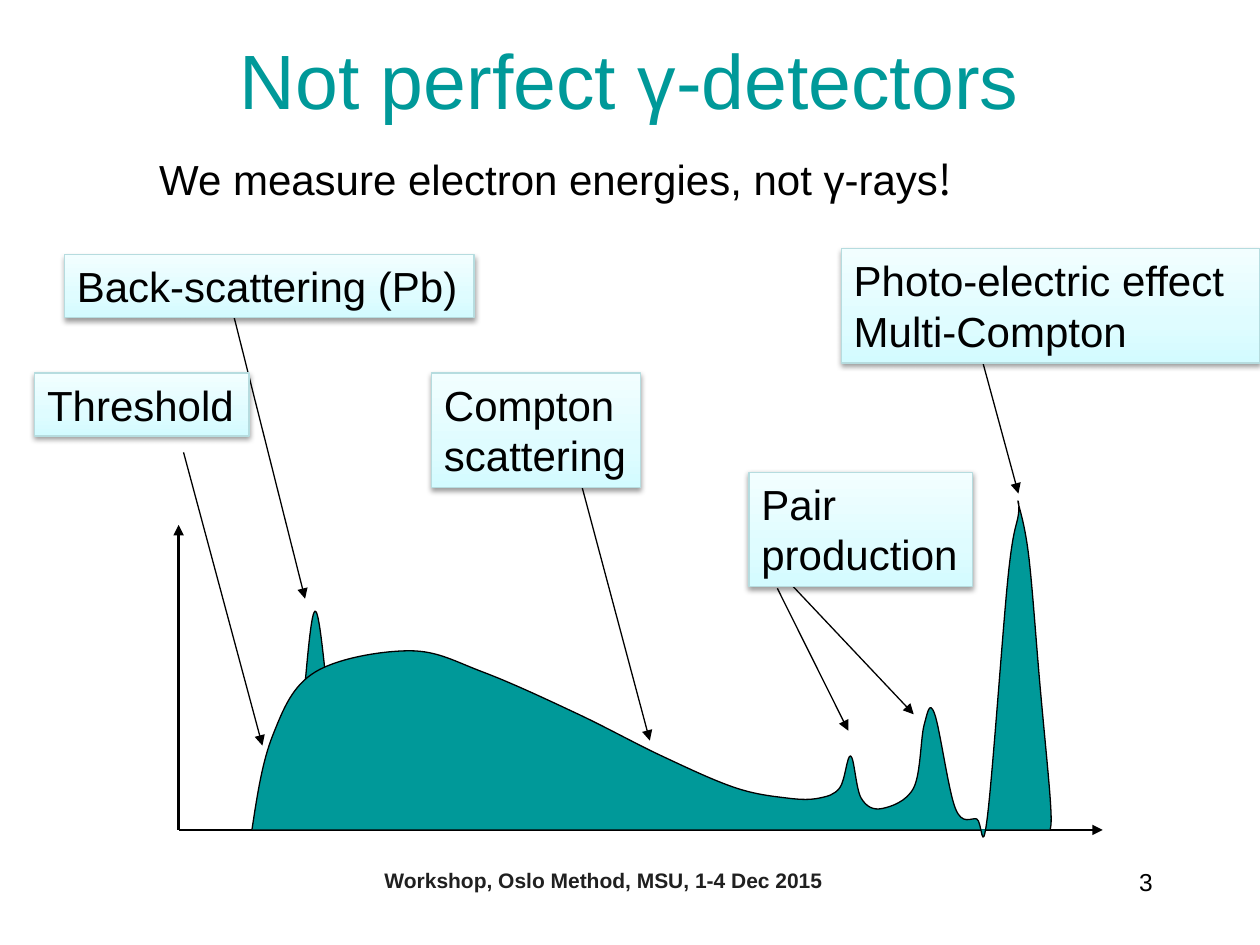
from copy import deepcopy

from lxml.etree import SubElement
from pptx import Presentation
from pptx.dml.color import RGBColor
from pptx.enum.shapes import MSO_CONNECTOR, MSO_SHAPE
from pptx.enum.text import MSO_ANCHOR, MSO_AUTO_SIZE, PP_ALIGN
from pptx.oxml.ns import qn
from pptx.util import Cm, Pt


def colour(value):
    return RGBColor.from_string(value)


def write(frame, lines, align, size, ink, frame_format):
    for name, value in frame_format.items():
        setattr(frame, name, value)
    for index, line in enumerate(lines):
        paragraph = frame.paragraphs[0] if index == 0 else frame.add_paragraph()
        paragraph.alignment = align
        run = paragraph.add_run()
        run.text = line
        for name, value in {"name": "Arial", "size": Pt(size)}.items():
            setattr(run.font, name, value)
        run.font.color.rgb = colour(ink)
    return run


presentation = Presentation()
for name, value in {"slide_width": Cm(25.4), "slide_height": Cm(19.05)}.items():
    setattr(presentation, name, value)
slide = presentation.slides.add_slide(presentation.slide_layouts[6])
shapes = slide.shapes

fixed = {"word_wrap": True, "vertical_anchor": MSO_ANCHOR.TOP}
middle = {"word_wrap": True, "vertical_anchor": MSO_ANCHOR.MIDDLE}
growing = {**fixed, "auto_size": MSO_AUTO_SIZE.SHAPE_TO_FIT_TEXT}
texts = [
    ("Workshop, Oslo Method, MSU, 1-4 Dec 2015", (5.5, 17.36, 13.34, 1.27), PP_ALIGN.CENTER, 12, "202020", fixed),
    ("3", (18.2, 17.36, 5.29, 1.27), PP_ALIGN.RIGHT, 14, "000000", fixed),
    ("Not perfect γ-detectors", (1.9, 0, 21.59, 3.18), PP_ALIGN.CENTER, 44, "009999", middle),
    ("We measure electron energies, not γ-rays", (2.96, 2.96, 19.05, 1.27), PP_ALIGN.LEFT, 24, "000000", growing),
]
for wording, place, align, size, ink, frame_format in texts:
    frame = shapes.add_textbox(*map(Cm, place)).text_frame
    sentence = write(frame, [wording], align, size, ink, frame_format)
    sentence.font.bold = size == 12

exclamation = frame.paragraphs[0].add_run()
exclamation.text = "!"
for name, value in {"name": "Noto Sans CJK JP", "size": Pt(24)}.items():
    setattr(exclamation.font, name, value)
exclamation.font.color.rgb = colour("000000")

arrows = [
    (3.6, 16.73, 22.23, 16.73, 1),
    (3.6, 16.73, 3.6, 10.58, 1.5),
    (19.71, 6.93, 20.53, 9.95, 0.75),
    (11.71, 9.73, 13.1, 14.93, 0.75),
    (15.9, 11.73, 18.42, 14.4, 0.75),
    (4.7, 6.32, 6.15, 12.07, 0.75),
    (15.67, 11.86, 17.1, 14.73, 0.75),
    (3.7, 9.12, 5.29, 15.03, 0.75),
]
for *ends, width in arrows:
    arrow = shapes.add_connector(MSO_CONNECTOR.STRAIGHT, *map(Cm, ends))
    arrow.line.width = Pt(width)
    arrow.line.color.rgb = colour("000000")
    SubElement(arrow._element.spPr.find(qn("a:ln")), qn("a:tailEnd"), type="triangle")
    SubElement(arrow._element.spPr, qn("a:effectLst"))

backscatter_peak = [(6.15, 13.79), (6.35, 12.32), (6.56, 13.59)]
spectrum = [
    (5.08, 16.72), (5.5, 14.82), (6.35, 13.55), (8.26, 13.12), (9.74, 13.55),
    (11.64, 14.39), (13.34, 15.24), (14.82, 15.88), (15.88, 16.09), (16.51, 16.09),
    (16.93, 15.88), (17.15, 15.24), (17.36, 16.09), (17.78, 16.3), (18.42, 15.88),
    (18.63, 14.61), (18.84, 14.39), (19.26, 16.3), (19.69, 16.51), (19.9, 16.51),
    (20.32, 11.64), (20.53, 10.37), (20.53, 10.16), (20.74, 11.22), (20.96, 13.76),
    (21.17, 16.09), (21.17, 16.72),
]
for knots in (backscatter_peak, spectrum):
    last = len(knots) - 1
    slopes = [
        [(after - before) / 6 for before, after in zip(knots[max(i - 1, 0)], knots[min(i + 1, last)])]
        for i in range(last + 1)
    ]
    curve = []
    for i in range(last):
        start, end = knots[i], knots[i + 1]
        leave = [k + s for k, s in zip(start, slopes[i])]
        arrive = [k - s for k, s in zip(end, slopes[i + 1])]
        if i == 0:
            leave = [(k + c) / 2 for k, c in zip(start, arrive)]
        if i == last - 1:
            arrive = [(k + c) / 2 for k, c in zip(end, leave)]
        curve += [[Cm(x), Cm(y)] for x, y in (leave, arrive, end)]
    builder = shapes.build_freeform(*map(Cm, knots[0]))
    builder.add_line_segments(curve, close=False)
    counts = builder.convert_to_shape()
    segments = list(counts._element.iter(qn("a:lnTo")))
    outline = segments[0].getparent()
    for i in range(0, len(segments), 3):
        bend = SubElement(outline, qn("a:cubicBezTo"))
        for segment in segments[i:i + 3]:
            bend.append(segment[0])
            outline.remove(segment)
    counts.shadow.inherit = False
    counts.fill.solid()
    counts.fill.fore_color.rgb = colour("009999")
    counts.line.color.rgb = colour("000000")
    counts.line.width = Pt(0.75)

unwrapped = {**growing, "word_wrap": False}
labels = [
    (["Photo-electric effect", "Multi-Compton"], (16.96, 5.01, 8.44, 2.31), growing),
    (["Compton", "scattering"], (8.7, 7.52, 4.22, 2.31), unwrapped),
    (["Pair", "production"], (15.1, 9.52, 4.5, 2.31), unwrapped),
    (["Back-scattering (Pb)"], (1.3, 5.13, 8.26, 1.27), unwrapped),
    (["Threshold"], (0.7, 7.52, 4.32, 1.27), unwrapped),
]
tints = [(0, "D3FBFF"), (0.35, "DFFCFF"), (1, "F2FEFF")]
shadow_format = {"blurRad": "40000", "dist": "20000", "dir": "5400000", "rotWithShape": "0"}
for lines, place, frame_format in labels:
    label = shapes.add_shape(MSO_SHAPE.RECTANGLE, *map(Cm, place))
    label.fill.gradient()
    label.fill.gradient_angle = 90
    first_stop = label._element.spPr.find(".//" + qn("a:gs"))
    first_stop.addnext(deepcopy(first_stop))
    for stop, (position, tint) in zip(label.fill.gradient_stops, tints):
        stop.position = position
        stop.color.rgb = colour(tint)
    label.line.color.rgb = colour("B6DCDF")
    label.line.width = Pt(0.75)
    label.shadow.inherit = False
    effects = label._element.spPr.find(qn("a:effectLst"))
    shade = SubElement(SubElement(effects, qn("a:outerShdw"), shadow_format), qn("a:srgbClr"), val="000000")
    SubElement(shade, qn("a:alpha"), val="38000")
    write(label.text_frame, lines, PP_ALIGN.LEFT, 24, "000000", frame_format)

presentation.save("out.pptx")
